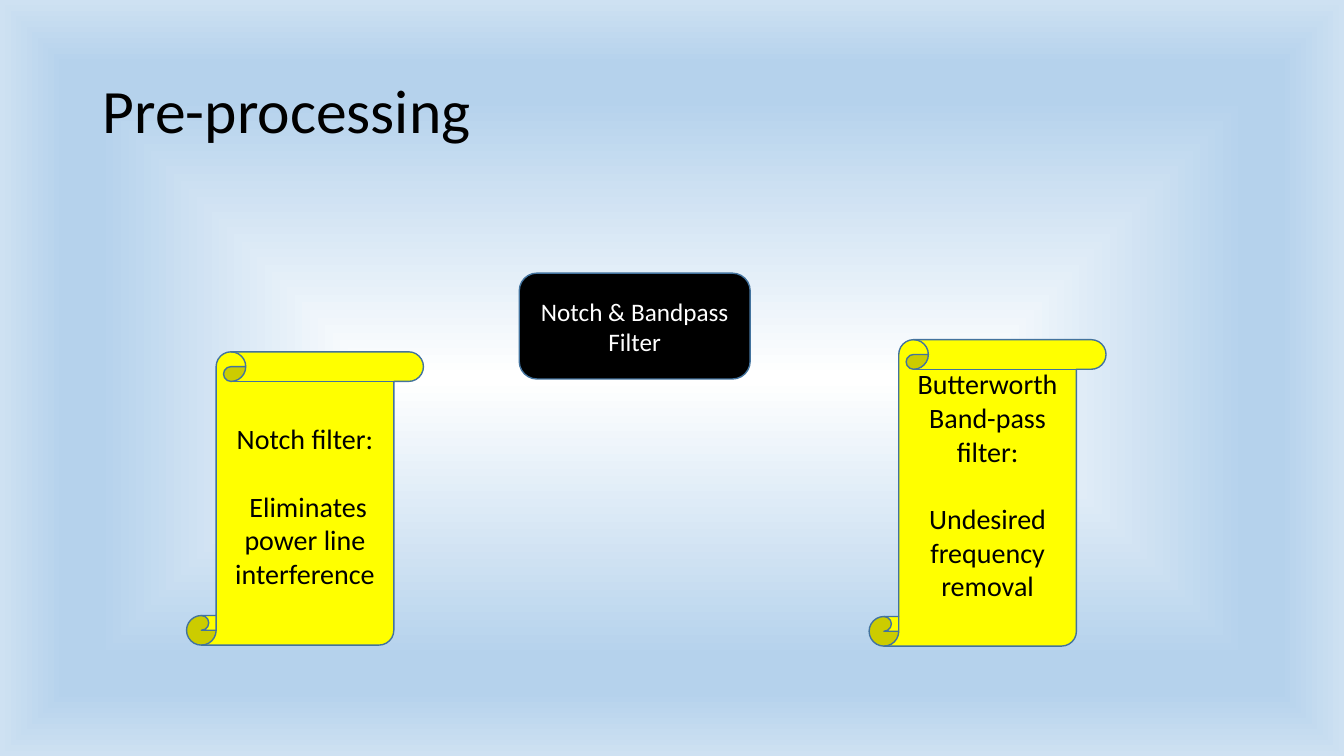
"""Build the Pre-processing slide with its filter box and two scrolls."""
from lxml import etree
from pptx import Presentation
from pptx.dml.color import RGBColor
from pptx.enum.shapes import MSO_SHAPE
from pptx.enum.text import MSO_ANCHOR, PP_ALIGN
from pptx.oxml import parse_xml
from pptx.oxml.ns import nsdecls, qn
from pptx.util import Inches, Pt

ROUNDED, SCROLL = MSO_SHAPE.ROUNDED_RECTANGLE, MSO_SHAPE.VERTICAL_SCROLL
MIDDLE = MSO_ANCHOR.MIDDLE
LEFT, CENTER = PP_ALIGN.LEFT, PP_ALIGN.CENTER
BLACK = RGBColor(0x00, 0x00, 0x00)
WHITE = RGBColor(0xFF, 0xFF, 0xFF)
YELLOW = RGBColor(0xFF, 0xFF, 0x00)
OUTLINE = RGBColor(0x43, 0x73, 0x9E)
PALE_BLUE = RGBColor(0xCE, 0xE1, 0xF2)
SKY_BLUE = RGBColor(0xB5, 0xD2, 0xEC)
BACKGROUND_STOPS = [(0, WHITE), (74, SKY_BLUE), (83, SKY_BLUE), (100, PALE_BLUE)]


def write_text(tf, lines, size, color, align):
    tf.word_wrap = True
    tf.vertical_anchor = MIDDLE
    tf.text = "\n".join(lines)
    for p in tf.paragraphs:
        p.alignment = align
        for r in p.runs:
            r.font.name = "Calibri"
            r.font.size = Pt(size)
            r.font.color.rgb = color


prs = Presentation()
prs.slide_width, prs.slide_height = Inches(13.33), Inches(7.5)
s = prs.slides.add_slide(prs.slide_layouts[5])

fill = s.background.fill
fill.gradient()
grad = s.background._cSld.find(".//" + qn("a:gradFill"))
for child in list(grad):
    grad.remove(child)
stops = etree.SubElement(grad, qn("a:gsLst"))
for pos, color in BACKGROUND_STOPS:
    stop = etree.SubElement(stops, qn("a:gs"), pos=str(pos * 1000))
    clr = etree.SubElement(stop, qn("a:srgbClr"), val=str(color))
    if pos == 0:
        etree.SubElement(clr, qn("a:alpha"), val="60000")
grad.append(parse_xml(
    f'<a:path {nsdecls("a")} path="shape">'
    '<a:fillToRect l="50000" t="50000" r="50000" b="50000"/></a:path>'))

title = s.shapes.title
title.left, title.top = Inches(0.92), Inches(0.4)
title.width, title.height = Inches(11.5), Inches(1.45)
write_text(title.text_frame, ["Pre-processing"], 44, BLACK, LEFT)
title.text_frame.paragraphs[0].line_spacing = 0.9

boxes = [
    (ROUNDED, 5.15, 2.71, 2.29, 1.05, BLACK, WHITE, 18, 0.05,
     ["Notch & Bandpass Filter"]),
    (SCROLL, 8.62, 3.37, 2.35, 3.04, YELLOW, BLACK, 20, 0.36,
     ["Butterworth Band-pass filter:", "Undesired frequency removal"]),
    (SCROLL, 1.85, 3.49, 2.35, 2.91, YELLOW, BLACK, 20, 0.05,
     ["Notch filter:", " Eliminates power line interference"]),
]
for kind, x, y, w, h, face, ink, size, bottom, lines in boxes:
    sp = s.shapes.add_shape(kind, Inches(x), Inches(y), Inches(w), Inches(h))
    sp.shadow.inherit = False
    sp.fill.solid()
    sp.fill.fore_color.rgb = face
    sp.line.color.rgb = OUTLINE
    sp.line.width = Pt(1)
    tf = sp.text_frame
    write_text(tf, lines, size, ink, CENTER)
    tf.margin_bottom = Inches(bottom)
    for p in tf.paragraphs[1:]:
        p.space_before = Pt(24)

prs.save("out.pptx")
